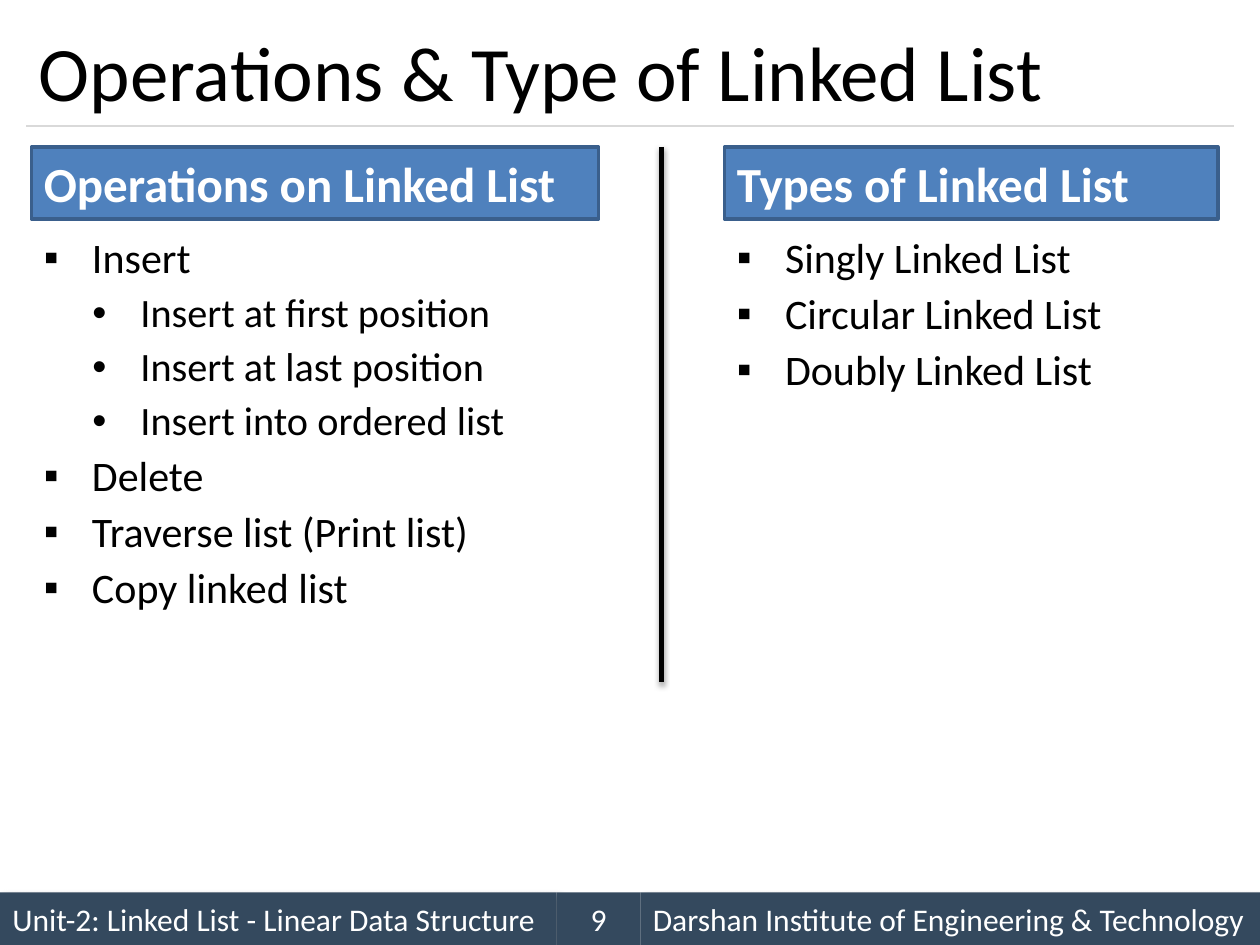
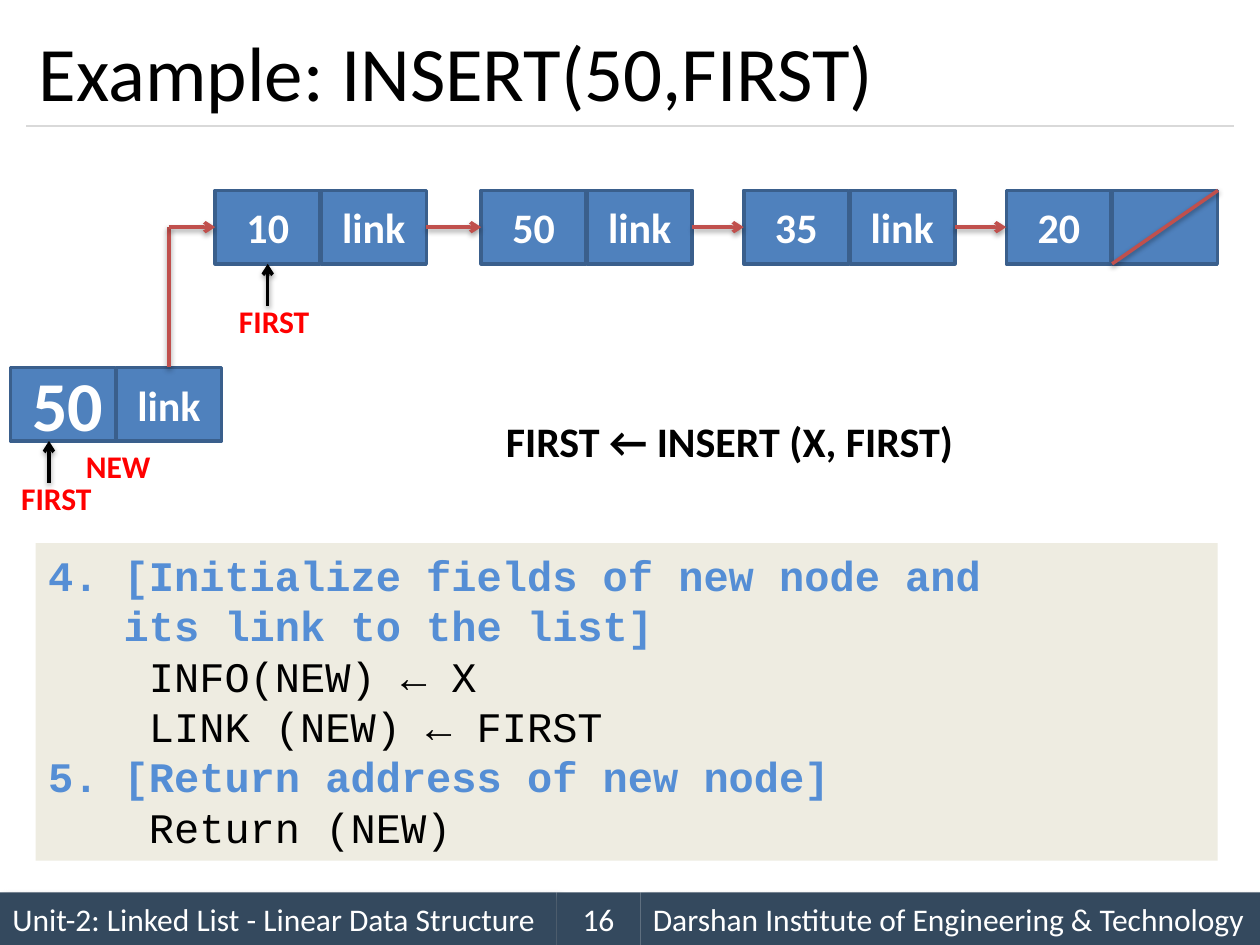
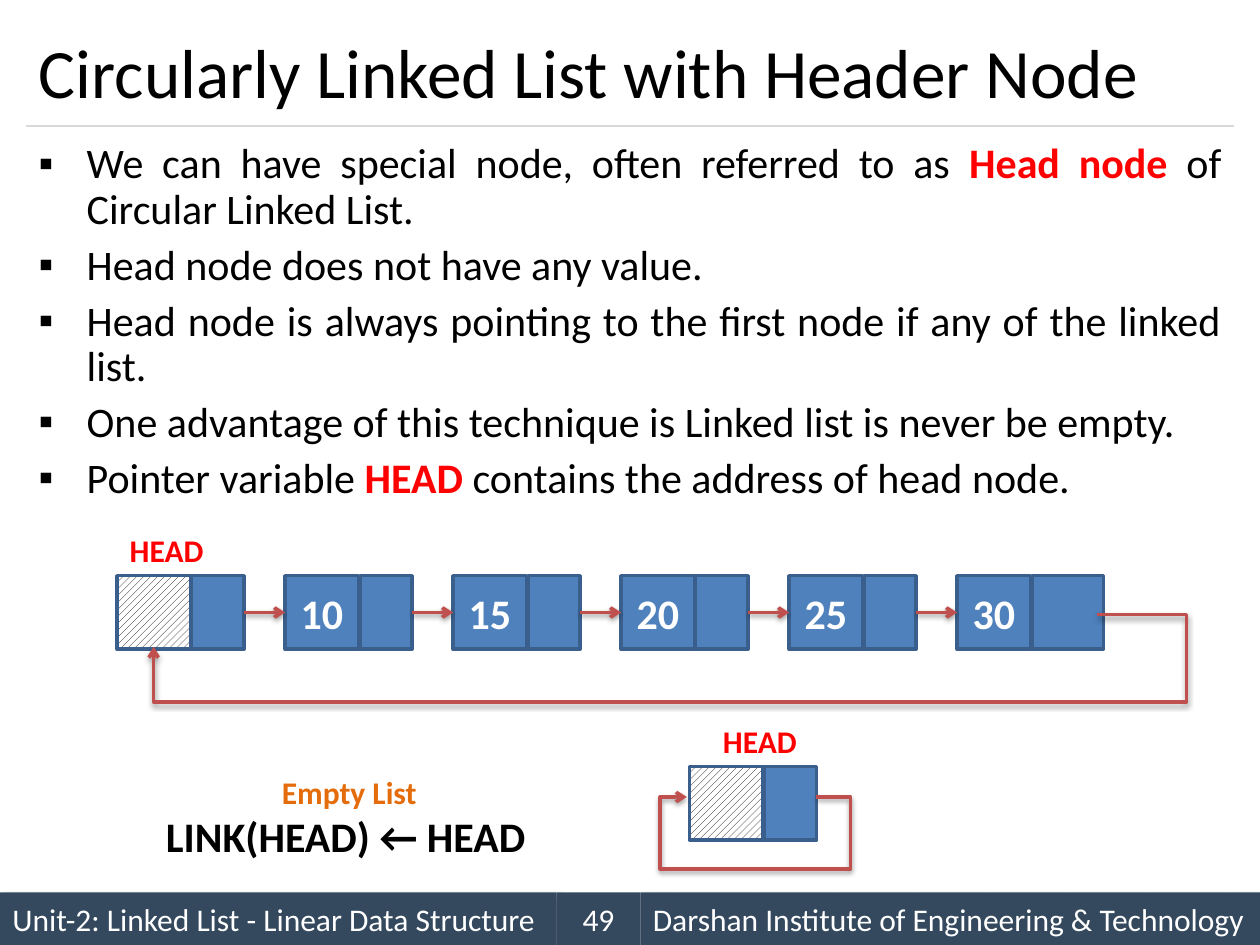
from lxml.etree import SubElement
from pptx import Presentation
from pptx.dml.color import RGBColor
from pptx.enum.dml import MSO_PATTERN
from pptx.enum.shapes import MSO_CONNECTOR, MSO_SHAPE
from pptx.enum.text import MSO_ANCHOR, MSO_AUTO_SIZE, PP_ALIGN
from pptx.oxml.ns import qn
from pptx.util import Pt

WHITE = RGBColor(0xFF, 0xFF, 0xFF)
BLACK = RGBColor(0x00, 0x00, 0x00)
RED = RGBColor(0xFF, 0x00, 0x00)
ORANGE = RGBColor(0xE4, 0x6C, 0x0A)
FOOTER_NAVY = RGBColor(0x34, 0x49, 0x5E)
RULE_GRAY = RGBColor(0xD9, 0xD9, 0xD9)
NODE_BLUE = RGBColor(0x4F, 0x81, 0xBD)
NODE_EDGE = RGBColor(0x3A, 0x5F, 0x8C)
LINK_RED = RGBColor(0xC0, 0x50, 0x4D)
CODE_BEIGE = RGBColor(0xEE, 0xEC, 0xE1)
CODE_BLUE = RGBColor(0x55, 0x8E, 0xD5)

BODY_FONT = "Calibri"
CODE_FONT = "Courier New"
NODE_HEIGHT = 42
CELL_GAP = 0.6
HATCHED = "hatched"
BULLETS = [("▪", 24, 27.5), ("•", 23, 55.2)]
BULLET_HANG = 27.5


def add_run(paragraph, text, size, color, bold=False, font=BODY_FONT):
    """Append one formatted run to a paragraph."""
    run = paragraph.add_run()
    run.text = text
    run.font.name = font
    run.font.size = Pt(size)
    run.font.bold = bold
    run.font.color.rgb = color


def cast_shadow(shape, opacity, blur, distance, angle):
    """Give a shape or connector a soft black outer shadow."""
    properties = shape.element.spPr
    effects = properties.find(qn("a:effectLst"))
    if effects is None:
        effects = SubElement(properties, qn("a:effectLst"))
    shadow = SubElement(effects, qn("a:outerShdw"), blurRad=str(Pt(blur)),
                        dist=str(Pt(distance)), dir=str(angle * 60000),
                        algn="ctr", rotWithShape="0")
    color = SubElement(shadow, qn("a:srgbClr"), val=str(BLACK))
    SubElement(color, qn("a:alpha"), val=str(opacity * 1000))


def style_line(shape, color, width, arrow=False):
    """Set the stroke and, if wanted, an arrowhead at the end."""
    shape.line.color.rgb = color
    shape.line.width = Pt(width)
    if arrow:
        stroke = shape.element.spPr.find(qn("a:ln"))
        SubElement(stroke, qn("a:tailEnd"), type="arrow")


def add_line(slide, start, end, color=LINK_RED, width=2, arrow=False, shadow=True):
    """Draw a straight connector between two points."""
    connector = slide.shapes.add_connector(
        MSO_CONNECTOR.STRAIGHT, *[Pt(value) for value in (*start, *end)])
    style_line(connector, color, width, arrow)
    if shadow:
        cast_shadow(connector, 38, 3.1, 1.6, 90)
    else:
        SubElement(connector.element.spPr, qn("a:effectLst"))


def add_path_arrow(slide, points):
    """Draw a bent open arrow through the points."""
    start, *others = [(Pt(x), Pt(y)) for x, y in points]
    builder = slide.shapes.build_freeform(*start, scale=1.0)
    builder.add_line_segments(others, close=False)
    shape = builder.convert_to_shape()
    shape.fill.background()
    style_line(shape, LINK_RED, 2, arrow=True)
    shape.shadow.inherit = False
    cast_shadow(shape, 38, 3.1, 1.6, 90)


def add_box(shapes, left, top, width, height, fill, edge=None):
    """Add a flat rectangle and return it."""
    box = shapes.add_shape(MSO_SHAPE.RECTANGLE, Pt(left), Pt(top), Pt(width), Pt(height))
    box.shadow.inherit = False
    if fill == HATCHED:
        box.fill.patterned()
        box.fill.pattern = MSO_PATTERN.WIDE_UPWARD_DIAGONAL
        box.fill.fore_color.rgb = BLACK
        box.fill.back_color.rgb = WHITE
    else:
        box.fill.solid()
        box.fill.fore_color.rgb = fill
    if edge:
        style_line(box, edge, 2)
    else:
        box.line.fill.background()
    return box


def write_in_box(box, text, size, bold=False, align=PP_ALIGN.LEFT, anchor=MSO_ANCHOR.MIDDLE):
    """Put one line of white text in a rectangle."""
    box.text_frame.vertical_anchor = anchor
    paragraph = box.text_frame.paragraphs[0]
    paragraph.alignment = align
    add_run(paragraph, text, size, WHITE, bold)


def add_label(slide, text, left, top, width, size=18, color=RED):
    """Add a bold one-line text box that fits its text."""
    label = slide.shapes.add_textbox(Pt(left), Pt(top), Pt(width), Pt(size * 1.2 + 7.2))
    frame = label.text_frame
    frame.word_wrap = False
    frame.auto_size = MSO_AUTO_SIZE.SHAPE_TO_FIT_TEXT
    add_run(frame.paragraphs[0], text, size, color, bold=True)


def add_bullets(slide, left, top, width, height, items):
    """Add a bulleted list from (level, runs) items, odd runs in bold red."""
    box = slide.shapes.add_textbox(Pt(left), Pt(top), Pt(width), Pt(height))
    frame = box.text_frame
    frame.word_wrap = True
    for index, (level, runs) in enumerate(items):
        paragraph = frame.add_paragraph() if index else frame.paragraphs[0]
        symbol, size, indent = BULLETS[level]
        properties = paragraph._p.get_or_add_pPr()
        properties.set("marL", str(Pt(indent)))
        properties.set("indent", str(-Pt(BULLET_HANG)))
        SubElement(properties, qn("a:buFont"), typeface="Arial")
        SubElement(properties, qn("a:buChar"), char=symbol)
        paragraph.level = level
        paragraph.alignment = PP_ALIGN.JUSTIFY
        paragraph.line_spacing = 0.9
        paragraph.space_before = Pt(6 if index else 0)
        for position, text in enumerate(runs):
            marked = position % 2 == 1
            add_run(paragraph, text, size, RED if marked else BLACK, marked)


def add_node(slide, left, top, value, link, value_width, link_width):
    """Add a grouped list node with a value cell and a link cell."""
    group = slide.shapes.add_group_shape()
    value_fill = HATCHED if value == HATCHED else NODE_BLUE
    cells = [(left, value_width, value_fill, value),
             (left + value_width + CELL_GAP, link_width, NODE_BLUE, link)]
    for cell_left, width, fill, text in cells:
        cell = add_box(group.shapes, cell_left, top, width, NODE_HEIGHT, fill, NODE_EDGE)
        if text and text != HATCHED:
            write_in_box(cell, text, 24, True, PP_ALIGN.CENTER)
    return left + value_width + CELL_GAP + link_width


def add_chain(slide, lefts, top, values, links, value_width, link_widths):
    """Add a row of nodes joined by arrows."""
    middle = top + NODE_HEIGHT / 2
    previous_right = None
    for left, value, link, link_width in zip(lefts, values, links, link_widths):
        right = add_node(slide, left, top, value, link, value_width, link_width)
        if previous_right:
            add_line(slide, (previous_right, middle), (left, middle), arrow=True)
        previous_right = right


def add_code(slide, left, top, width, height, lines):
    """Add a code panel whose numbered step lines are bold blue."""
    panel = add_box(slide.shapes, left, top, width, height, CODE_BEIGE)
    frame = panel.text_frame
    frame.vertical_anchor = MSO_ANCHOR.TOP
    for index, (text, is_step) in enumerate(lines):
        paragraph = frame.add_paragraph() if index else frame.paragraphs[0]
        paragraph.alignment = PP_ALIGN.LEFT
        add_run(paragraph, text, 24, CODE_BLUE if is_step else BLACK, is_step, CODE_FONT)


def add_titled_slide(presentation, title, number, title_size=44):
    """Add a slide with the shared title, rule and footer."""
    slide = presentation.slides.add_slide(presentation.slide_layouts[5])
    footers = [(0, 318, "Unit-2: Linked List - Linear Data Structure", PP_ALIGN.LEFT),
               (366, 354, "Darshan Institute of Engineering & Technology", PP_ALIGN.LEFT),
               (318, 48, str(number), PP_ALIGN.CENTER)]
    for left, width, text, align in footers:
        band = add_box(slide.shapes, left, 510, width, 30, FOOTER_NAVY)
        write_in_box(band, text, 18, align=align)
        if align == PP_ALIGN.LEFT:
            cast_shadow(band, 40, 4, 3, 45)
    add_line(slide, (15, 72), (705, 72), RULE_GRAY, 0.75, shadow=False)
    placeholder = slide.shapes.title
    placeholder.left, placeholder.top = Pt(15), Pt(9)
    placeholder.width, placeholder.height = Pt(690), Pt(63)
    frame = placeholder.text_frame
    frame.auto_size = MSO_AUTO_SIZE.NONE
    frame.vertical_anchor = MSO_ANCHOR.MIDDLE
    frame.paragraphs[0].alignment = PP_ALIGN.LEFT
    add_run(frame.paragraphs[0], title, title_size, BLACK)
    return slide


def build_operations(presentation):
    """Build the slide of list operations and list types."""
    slide = add_titled_slide(presentation, "Operations & Type of Linked List", 9)
    operations = [(0, ["Insert"]),
                  (1, ["Insert at first position"]),
                  (1, ["Insert at last position"]),
                  (1, ["Insert into ordered list"]),
                  (0, ["Delete"]),
                  (0, ["Traverse list (Print list)"]),
                  (0, ["Copy linked list"])]
    types = [(0, [f"{kind} Linked List"]) for kind in ("Singly", "Circular", "Doubly")]
    columns = [(18, 324, "Operations on Linked List", 324, 234, operations),
               (414, 282, "Types of Linked List", 270, 114, types)]
    for left, heading_width, heading, list_width, list_height, items in columns:
        box = add_box(slide.shapes, left, 84, heading_width, 41.2, NODE_BLUE, NODE_EDGE)
        write_in_box(box, heading, 28, True, anchor=MSO_ANCHOR.TOP)
        add_bullets(slide, left, 132, list_width, list_height, items)
    add_line(slide, (378, 84), (378, 390), BLACK, 3)


def build_insert_example(presentation):
    """Build the slide that inserts a node at the front."""
    slide = add_titled_slide(presentation, "Example: INSERT(50,FIRST)", 16)
    chain_top, new_top = 108.8, 210
    chain_middle = chain_top + NODE_HEIGHT / 2
    add_chain(slide, [123, 275, 425, 575], chain_top, ["10", "50", "35", "20"],
              ["link", "link", "link", ""], 60, [60] * 4)
    add_line(slide, (696, chain_top), (635.5, chain_top + NODE_HEIGHT))
    add_node(slide, 6, new_top, "", "link", 60, 60)
    add_label(slide, "50", 11.5, 203, 55.5, 40, WHITE)
    add_label(slide, "NEW", 42, 252, 52)
    for node_top, pointer_x, label_left in [(chain_top, 153, 129.5), (new_top, 28, 5)]:
        tip = node_top + NODE_HEIGHT
        add_line(slide, (pointer_x, tip + 24), (pointer_x, tip), BLACK, arrow=True)
        add_label(slide, "FIRST", label_left, tip + 18, 55.5)
    add_line(slide, (96.5, new_top), (96.5, chain_middle))
    add_line(slide, (96.5, chain_middle), (123, chain_middle), arrow=True)
    add_label(slide, "FIRST ← INSERT (X, FIRST)", 282, 234, 274.5, 24, BLACK)
    add_code(slide, 20.4, 310.3, 675.5, 181.5,
             [("4. [Initialize fields of new node and", True),
              ("   its link to the list]", True),
              ("    INFO(NEW) ← X", False),
              ("    LINK (NEW) ← FIRST", False),
              ("5. [Return address of new node]", True),
              ("    Return (NEW)", False)])


def build_header_node(presentation):
    """Build the slide on circular lists with a header node."""
    slide = add_titled_slide(presentation, "Circularly Linked List with Header Node", 49, 39.6)
    add_bullets(slide, 15, 78, 690, 216, [
        (0, ["We can have special node, often referred to as ", "Head node ",
             "of Circular Linked List."]),
        (0, ["Head node does not have any value."]),
        (0, ["Head node is always pointing to the first node if any of the linked list."]),
        (0, ["One advantage of this technique is Linked list is never be empty."]),
        (0, ["Pointer variable ", "HEAD ", "contains the address of head node."])])
    values = [HATCHED, "10", "15", "20", "25", "30"]
    lefts = [67 + 96 * index for index in range(len(values))]
    add_chain(slide, lefts, 329, values, [""] * 6, 42, [30] * 5 + [41])
    add_path_arrow(slide, [(627, 351.2), (678, 351.2), (678, 401), (87.8, 401), (87.8, 369.5)])
    add_node(slide, 394, 438, HATCHED, "", 42, 30)
    add_path_arrow(slide, [(466.5, 455.4), (486, 455.4), (486, 496.6),
                           (377.3, 496.6), (377.3, 455.4), (392.5, 455.4)])
    add_label(slide, "HEAD", 67, 300, 57)
    add_label(slide, "HEAD", 406, 409, 57)
    add_label(slide, "LINK(HEAD) ← HEAD", 87.8, 459.5, 224, 24, BLACK)
    add_label(slide, "Empty List", 154, 438, 92, color=ORANGE)


def main():
    """Build the three slides and save them."""
    presentation = Presentation()
    presentation.slide_width, presentation.slide_height = Pt(720), Pt(540)
    build_operations(presentation)
    build_insert_example(presentation)
    build_header_node(presentation)
    presentation.save("out.pptx")


if __name__ == "__main__":
    main()
